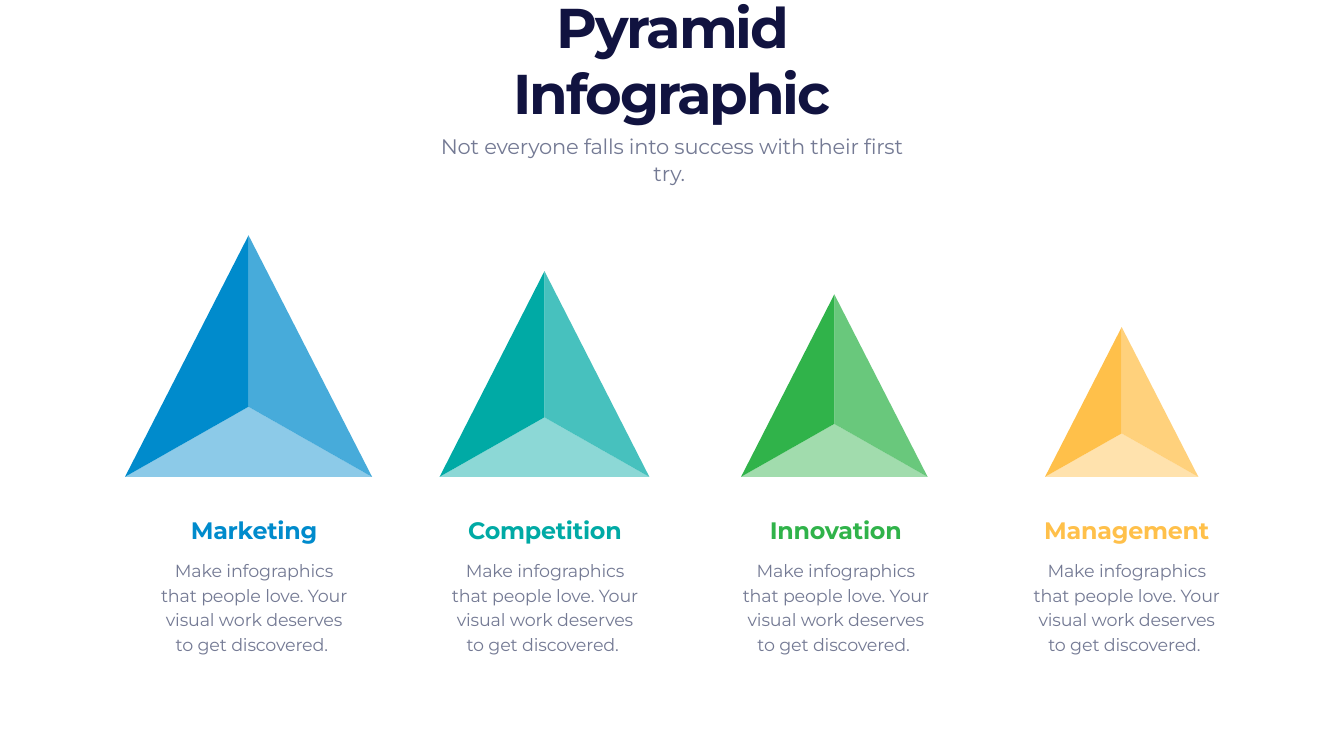
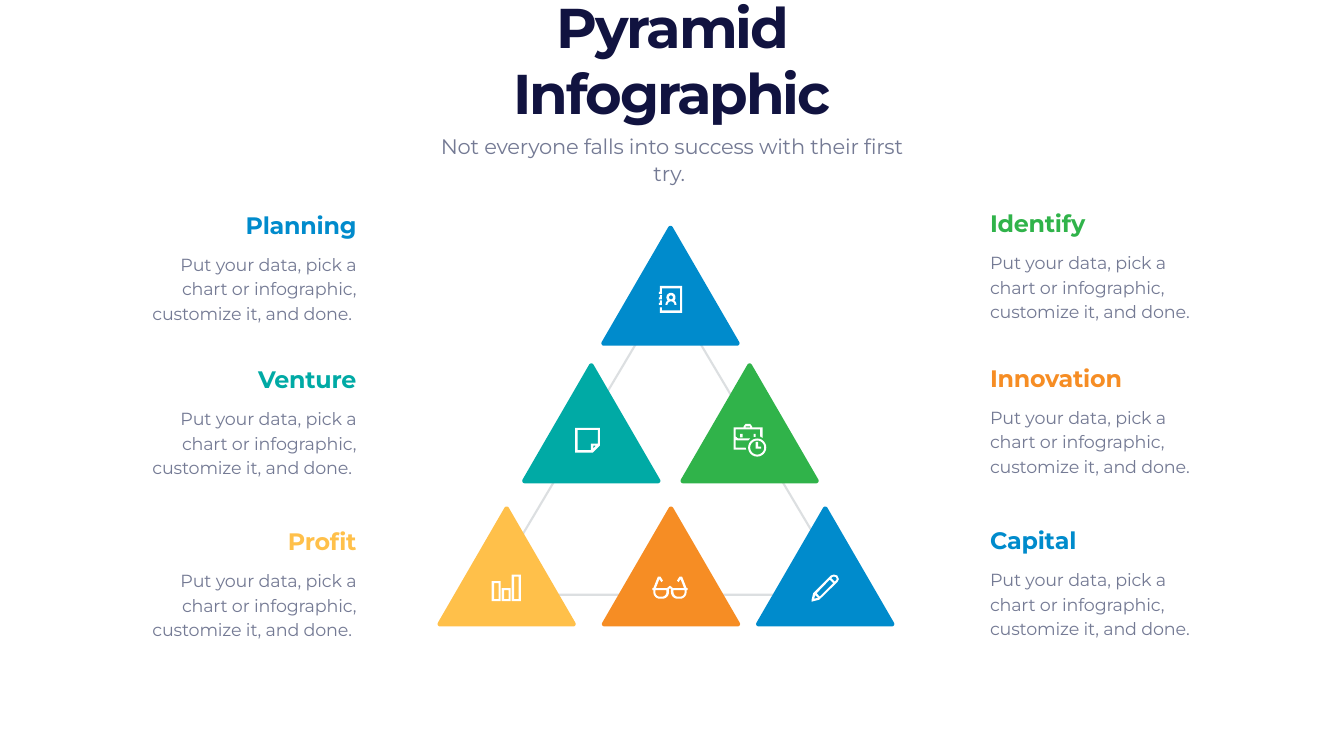
"""Build two pyramid infographic slides."""
from dataclasses import dataclass
from math import cos, radians, sin
from typing import NamedTuple

from lxml.etree import SubElement
from pptx import Presentation
from pptx.dml.color import RGBColor
from pptx.enum.text import MSO_ANCHOR, MSO_AUTO_SIZE, PP_ALIGN
from pptx.oxml.ns import qn
from pptx.util import Emu, Pt

PX = 9144
FONT = "Montserrat"
NAVY = RGBColor(0x11, 0x13, 0x40)
GRAY = RGBColor(0x74, 0x7A, 0x94)
RULE = RGBColor(0xDC, 0xDF, 0xE1)
WHITE = RGBColor(0xFF, 0xFF, 0xFF)
BLUE = RGBColor(0x00, 0x8B, 0xCC)
TEAL = RGBColor(0x00, 0xAA, 0xA5)
GREEN = RGBColor(0x30, 0xB3, 0x4A)
YELLOW = RGBColor(0xFF, 0xC0, 0x4A)
ORANGE = RGBColor(0xF6, 0x8D, 0x24)

Contour = list[tuple[float, float]]


class Box(NamedTuple):
    left: int
    top: int
    width: int
    height: int


@dataclass(frozen=True)
class TextStyle:
    size: int
    color: RGBColor
    bold: bool = False
    tracking: int = -30
    leading: float | None = None


@dataclass(frozen=True)
class Pyramid:
    label: str
    color: RGBColor
    apex: int
    height: int


@dataclass(frozen=True)
class Node:
    center: int
    top: int
    color: RGBColor
    icon: list[Contour]


@dataclass(frozen=True)
class Topic:
    label: str
    color: RGBColor
    left: int
    top: int
    align: PP_ALIGN


TITLE = TextStyle(80, NAVY, True, -300, 94)
SUBTITLE = TextStyle(30, GRAY, leading=38.4)
BODY = TextStyle(25, GRAY, tracking=-20, leading=35)

PYRAMID_TEXT = "Make infographics that people love. Your visual work deserves to get discovered. "
TOPIC_TEXT = "Put your data, pick a chart or infographic, customize it, and done."
BASELINE = 946
COLUMN_LEFT, COLUMN_STEP, COLUMN_WIDTH = 300, 577, 408
TOPIC_WIDTH = 441
NODE_HALF, NODE_HEIGHT, NODE_CORNER = 137, 238, 5

PYRAMIDS = [
    Pyramid("Marketing", BLUE, 493, 479),
    Pyramid("Competition", TEAL, 1080, 408),
    Pyramid("Innovation", GREEN, 1655, 362),
    Pyramid("Management", YELLOW, 2225, 297),
]

TOPICS = [
    Topic("Identify", GREEN, 1954, 410, PP_ALIGN.LEFT),
    Topic("Innovation", ORANGE, 1954, 716, PP_ALIGN.LEFT),
    Topic("Capital", BLUE, 1954, 1039, PP_ALIGN.LEFT),
    Topic("Planning", BLUE, 276, 413, PP_ALIGN.RIGHT),
    Topic("Venture", TEAL, 276, 719, PP_ALIGN.RIGHT),
    Topic("Profit", YELLOW, 276, 1041, PP_ALIGN.RIGHT),
]


def arc(x: float, y: float, radius: float, start: int, end: int) -> Contour:
    """Return points along an arc, with angles growing clockwise."""
    steps = max(4, abs(end - start) // 15)
    angles = [radians(start + (end - start) * step / steps) for step in range(steps + 1)]
    return [(x + radius * cos(angle), y + radius * sin(angle)) for angle in angles]


def circle(x: float, y: float, radius: float) -> Contour:
    """Return the outline of a circle."""
    return arc(x, y, radius, 0, 360)


def rectangle(left: float, top: float, width: float, height: float) -> Contour:
    """Return the outline of a rectangle."""
    right, bottom = left + width, top + height
    return [(left, top), (right, top), (right, bottom), (left, bottom)]


def mirror(points: Contour, axis: float) -> Contour:
    """Return the points reflected across a vertical axis, in reverse order."""
    return [(2 * axis - x, y) for x, y in reversed(points)]


def rounded_triangle(box: Box, radius: int) -> Contour:
    """Return an upright triangle with rounded corners."""
    left, right = box.left + radius, box.left + box.width - radius
    bottom = box.top + box.height - radius
    return (arc(box.left + box.width / 2, box.top + radius, radius, 210, 330)
            + arc(right, bottom, radius, -30, 90)
            + arc(left, bottom, radius, 90, 210))


def contacts_icon() -> list[Contour]:
    """Return an address book with a person on it."""
    cover = [(1309, 567), (1309, 579), (1307, 579), (1307, 583), (1313, 583),
             (1313, 572), (1349, 572), (1349, 616), (1313, 616), (1313, 610),
             (1309, 610), (1309, 621), (1353, 621), (1353, 567)]
    tabs = [[(1309, top), (1309, top + 5), (1307, top + 5), (1307, top + 9),
             (1313, top + 9), (1313, top)] for top in (585, 596)]
    person = (arc(1331, 590, 9, 135, 405) + arc(1331, 605, 11, -57, 0)
              + arc(1331, 605, 7, 0, -180) + arc(1331, 605, 11, -180, -123))
    return [cover, *tabs, person, circle(1331, 590, 4)]


def note_icon() -> list[Contour]:
    """Return a sheet with a folded corner."""
    return [
        [(1141, 849), (1141, 898), (1176, 898), (1190, 884), (1190, 849)],
        [(1146, 853), (1186, 853), (1186, 880), (1172, 880), (1172, 893), (1146, 893)],
        [(1177, 884), (1182, 884), (1177, 890)],
    ]


def briefcase_icon() -> list[Contour]:
    """Return a briefcase with a clock."""
    case = [(1475, 848), (1455, 848), (1455, 892), (1480, 892), (1479, 888),
            (1459, 888), (1459, 873), (1464, 874), (1484, 874), (1488, 870),
            (1464, 870), (1459, 866), (1459, 852), (1508, 852), (1508, 866),
            (1513, 869), (1513, 848), (1492, 848), (1492, 846), (1488, 841),
            (1479, 841), (1475, 846)]
    hands = [(1499, 877), (1499, 890), (1510, 890), (1510, 886), (1504, 886), (1504, 877)]
    return [case, rectangle(1479, 846, 9, 2), rectangle(1468, 861, 5, 7),
            rectangle(1495, 861, 4, 6), circle(1502, 888, 18),
            circle(1502, 888, 14), hands]


def bars_icon() -> list[Contour]:
    """Return three hollow bars on one baseline."""
    contours = []
    for left, top in ((975, 1153), (995, 1167), (1015, 1140)):
        height = 1193 - top
        contours += [rectangle(left, top, 18, height),
                     rectangle(left + 5, top + 4, 9, height - 8)]
    return contours


def glasses_icon() -> list[Contour]:
    """Return a symmetric pair of glasses."""
    half = [(1329, 1162), (1323, 1167), (1301, 1167), (1308, 1149), (1312, 1155),
            (1315, 1152), (1310, 1144), (1305, 1144), (1296, 1167), (1294, 1167),
            (1294, 1171), (1296, 1171), *arc(1309, 1175, 13, 180, 90),
            *arc(1314, 1175, 13, 90, 0), (1327, 1169), (1329, 1167)]
    lens = [(1300, 1171), (1322, 1171), *arc(1313, 1175, 9, 0, 90),
            *arc(1309, 1175, 9, 90, 180)]
    return [half + mirror(half, 1329), lens, mirror(lens, 1329)]


def pencil_icon() -> list[Contour]:
    """Return a slanted pencil."""
    return [
        [(1654, 1140), (1648, 1142), (1613, 1177), (1610, 1190), (1610, 1194),
         (1613, 1193), (1625, 1190), (1661, 1155), (1664, 1149), (1661, 1142)],
        [(1617, 1181), (1623, 1186), (1615, 1188)],
        [(1646, 1150), (1653, 1157), (1626, 1184), (1620, 1177)],
        [(1654, 1144), (1658, 1145), (1660, 1149), (1658, 1152), (1656, 1154),
         (1649, 1147), (1651, 1145)],
    ]


NODES = [
    Node(1330, 448, BLUE, contacts_icon()),
    Node(1173, 721, TEAL, note_icon()),
    Node(1487, 721, GREEN, briefcase_icon()),
    Node(1005, 1005, YELLOW, bars_icon()),
    Node(1331, 1005, ORANGE, glasses_icon()),
    Node(1637, 1005, BLUE, pencil_icon()),
]


def draw_outline(page, contours: list[Contour], fill: RGBColor | None,
                 opacity: int = 100, line: RGBColor | None = None) -> None:
    """Draw closed contours as one freeform."""
    scaled = [[(round(x * PX), round(y * PX)) for x, y in points] for points in contours]
    builder = page.shapes.build_freeform(*scaled[0][0], scale=1.0)
    builder.add_line_segments(scaled[0][1:], close=True)
    for points in scaled[1:]:
        builder.move_to(*points[0])
        builder.add_line_segments(points[1:], close=True)
    shape = builder.convert_to_shape()
    shape.shadow.inherit = False
    if fill is None:
        shape.fill.background()
    else:
        shape.fill.solid()
        shape.fill.fore_color.rgb = fill
        if opacity < 100:
            color = shape._element.spPr.find(f"{qn('a:solidFill')}/{qn('a:srgbClr')}")
            SubElement(color, qn("a:alpha"), val=str(opacity * 1000))
    if line is None:
        shape.line.fill.background()
    else:
        shape.line.color.rgb = line
        shape.line.width = Pt(3)


def write(shape, box: Box, text: str, style: TextStyle, align: PP_ALIGN,
          anchor: MSO_ANCHOR = MSO_ANCHOR.TOP) -> None:
    """Place a text shape and format its one paragraph."""
    shape.left, shape.top, shape.width, shape.height = (Emu(value * PX) for value in box)
    frame = shape.text_frame
    frame.text = text
    frame.word_wrap = True
    frame.auto_size = MSO_AUTO_SIZE.NONE
    frame.vertical_anchor = anchor
    para = frame.paragraphs[0]
    para.alignment = align
    para.space_before = Pt(0)
    if style.leading:
        para.line_spacing = Pt(style.leading)
    span = para.runs[0]
    span.font.name = FONT
    span.font.size = Pt(style.size)
    span.font.bold = style.bold
    span.font.color.rgb = style.color
    span._r.get_or_add_rPr().set("spc", str(style.tracking))


def add_text(page, box: Box, text: str, style: TextStyle, align: PP_ALIGN) -> None:
    """Add a text box."""
    write(page.shapes.add_textbox(0, 0, 0, 0), box, text, style, align)


def add_page(deck):
    """Add a slide with the shared title and subtitle."""
    page = deck.slides.add_slide(deck.slide_layouts[0])
    write(page.shapes.title, Box(816, 112, 1034, 142), "Pyramid Infographic",
          TITLE, PP_ALIGN.CENTER, MSO_ANCHOR.BOTTOM)
    write(page.placeholders[1], Box(856, 257, 954, 60),
          "Not everyone falls into success with their first try. ", SUBTITLE, PP_ALIGN.CENTER)
    return page


def draw_pyramid(page, pyramid: Pyramid, column: int) -> None:
    """Draw a three-faced pyramid and the text of its column."""
    half = round(pyramid.height * 0.511)
    apex = (pyramid.apex, BASELINE - pyramid.height)
    ridge = (pyramid.apex, BASELINE - round(pyramid.height * 0.29))
    left, right = (pyramid.apex - half, BASELINE), (pyramid.apex + half, BASELINE)
    for face, opacity in (([left, right, ridge], 45), ([left, ridge, apex], 100),
                          ([apex, ridge, right], 72)):
        draw_outline(page, [face], pyramid.color, opacity)
    start = COLUMN_LEFT + column * COLUMN_STEP
    add_text(page, Box(start, 1018, COLUMN_WIDTH, 67), pyramid.label,
             TextStyle(34, pyramid.color, True), PP_ALIGN.CENTER)
    add_text(page, Box(start, 1100, COLUMN_WIDTH, 203), PYRAMID_TEXT, BODY, PP_ALIGN.CENTER)


def draw_node(page, node: Node) -> None:
    """Draw a rounded triangle with its icon."""
    box = Box(node.center - NODE_HALF, node.top, 2 * NODE_HALF, NODE_HEIGHT)
    draw_outline(page, [rounded_triangle(box, NODE_CORNER)], node.color)
    draw_outline(page, node.icon, WHITE)


def draw_topic(page, topic: Topic) -> None:
    """Draw a heading with its description."""
    add_text(page, Box(topic.left, topic.top, TOPIC_WIDTH, 67), topic.label,
             TextStyle(34, topic.color, True), topic.align)
    text = TOPIC_TEXT + " " if topic.align == PP_ALIGN.RIGHT else TOPIC_TEXT
    add_text(page, Box(topic.left, topic.top + 79, TOPIC_WIDTH, 153), text, BODY, topic.align)


def main() -> None:
    """Build and save the deck."""
    deck = Presentation()
    deck.slide_width, deck.slide_height = Emu(2666 * PX), Emu(1500 * PX)
    page = add_page(deck)
    for column, pyramid in enumerate(PYRAMIDS):
        draw_pyramid(page, pyramid, column)
    page = add_page(deck)
    draw_outline(page, [rounded_triangle(Box(974, 585, 703, 595), 11)], None, line=RULE)
    for node in NODES:
        draw_node(page, node)
    for topic in TOPICS:
        draw_topic(page, topic)
    deck.save("out.pptx")


if __name__ == "__main__":
    main()
